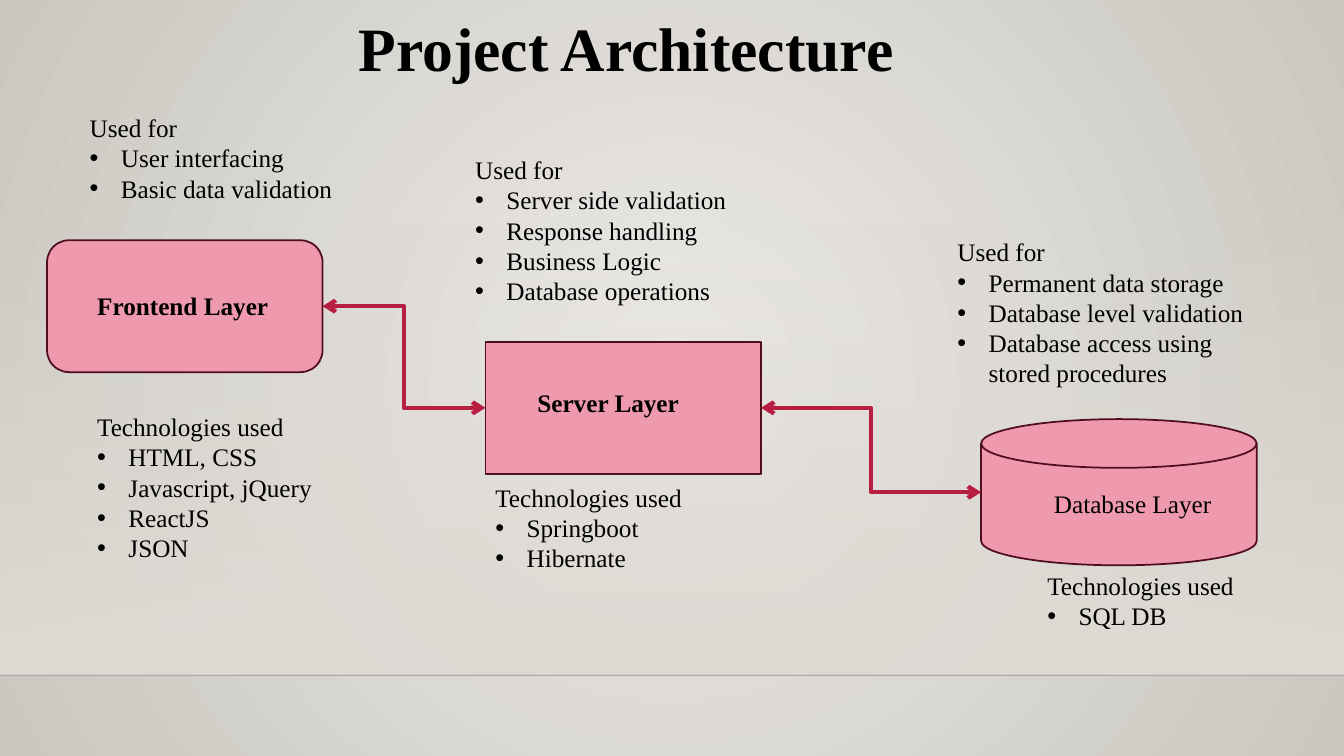
from lxml.etree import SubElement
from pptx import Presentation
from pptx.dml.color import RGBColor
from pptx.enum.shapes import MSO_CONNECTOR, MSO_SHAPE
from pptx.enum.text import MSO_ANCHOR, MSO_AUTO_SIZE
from pptx.oxml.ns import qn
from pptx.util import Inches, Pt

COLS, ROWS = 160, 90
CELL = Inches(7.5) / ROWS
INDENT = Inches(0.31)
LAYER_W, LAYER_H = 32.8, 15.7
COLORS = {
    "glow": "ECEAE7",
    "edge": "CAC7C1",
    "floor": "DFDBD5",
    "horizon": "000001",
    "layer": "EE99AD",
    "outline": "500D1D",
    "arrow": "B71E42",
    "text": "000000",
}


def grid(*cells):
    return [round(cell * CELL) for cell in cells]


def rgb(name):
    return RGBColor.from_string(COLORS[name])


def add_xml(parent, tag, **attributes):
    return SubElement(parent, qn(tag), attributes)


def set_alpha(element, percents):
    for color, percent in zip(element.iter(qn("a:srgbClr")), percents):
        add_xml(color, "a:alpha", val=str(percent * 1000))


def set_gradient(fill, names):
    fill.gradient()
    for stop, name, position in zip(fill.gradient_stops, names, (0, 1)):
        stop.color.rgb = rgb(name)
        stop.position = position


def paint_background(slide):
    fill = slide.background.fill
    set_gradient(fill, ("glow", "edge"))
    gradient = next(slide.element.iter(qn("a:gradFill")))
    gradient.remove(gradient.find(qn("a:lin")))
    circle = add_xml(gradient, "a:path", path="circle")
    add_xml(circle, "a:fillToRect", l="50000", t="50000", r="50000", b="50000")


def add_floor(slide):
    floor = slide.shapes.add_shape(MSO_SHAPE.RECTANGLE, *grid(0, 26.5, COLS, 53.9))
    floor.shadow.inherit = False
    floor.line.fill.background()
    set_gradient(floor.fill, ("floor", "floor"))
    floor.fill.gradient_angle = 270
    set_alpha(floor.element.spPr, (0, 100))
    horizon = add_line(slide, MSO_CONNECTOR.STRAIGHT, (0, 80.4, COLS, 80.4), "horizon", 1)
    set_alpha(horizon.element.spPr, (20,))


def add_line(slide, kind, ends, color, width):
    line = slide.shapes.add_connector(kind, *grid(*ends))
    line.line.color.rgb = rgb(color)
    line.line.width = Pt(width)
    add_xml(line.element.spPr, "a:effectLst")
    return line


def add_layer(slide, kind, left, top, height=LAYER_H):
    layer = slide.shapes.add_shape(kind, *grid(left, top, LAYER_W, height))
    layer.shadow.inherit = False
    layer.fill.solid()
    layer.fill.fore_color.rgb = rgb("layer")
    layer.line.color.rgb = rgb("outline")
    layer.line.width = Pt(1.25)
    return layer


def add_link(slide, ends):
    link = add_line(slide, MSO_CONNECTOR.ELBOW, ends, "arrow", 3)
    outline = link.element.spPr.find(qn("a:ln"))
    for tag in ("a:headEnd", "a:tailEnd"):
        add_xml(outline, tag, type="arrow")
    return link


def add_bullet(paragraph):
    properties = paragraph._p.get_or_add_pPr()
    for key, value in {"marL": INDENT, "indent": -INDENT}.items():
        properties.set(key, str(value))
    add_xml(properties, "a:buFont", typeface="Arial")
    add_xml(properties, "a:buChar", char="•")


def add_text(slide, box, heading, bullets=(), size=18, bold=False):
    frame = slide.shapes.add_textbox(*grid(*box)).text_frame
    frame.word_wrap = True
    frame.auto_size = MSO_AUTO_SIZE.SHAPE_TO_FIT_TEXT
    frame.text = "\n".join((heading, *bullets))
    font_format = {"name": "Times New Roman", "size": Pt(size), "bold": bold}
    for paragraph in frame.paragraphs:
        font = paragraph.runs[0].font
        for key, value in font_format.items():
            setattr(font, key, value)
        font.color.rgb = rgb("text")
    for paragraph in frame.paragraphs[1:]:
        add_bullet(paragraph)
    return frame


def add_title(slide):
    title = add_text(slide, (41.5, 1.6, 67.9, 10), "Project Architecture", size=44, bold=True)
    title.auto_size = MSO_AUTO_SIZE.NONE
    title.vertical_anchor = MSO_ANCHOR.TOP
    title.paragraphs[0].line_spacing = 0.9


def add_layers(slide):
    frontend = add_layer(slide, MSO_SHAPE.ROUNDED_RECTANGLE, 5.6, 28.6)
    server = add_layer(slide, MSO_SHAPE.ROUNDED_RECTANGLE, 57.8, 40.7)
    server.adjustments[0] = 0
    add_layer(slide, MSO_SHAPE.FLOWCHART_MAGNETIC_DISK, 116.8, 49.9, 17.4)
    frontend_link = add_link(slide, (38.4, 36.4, 57.8, 48.5))
    frontend_link.begin_connect(frontend, 3)
    frontend_link.end_connect(server, 1)
    database_link = add_link(slide, (90.6, 48.5, 116.8, 58.6))
    database_link.begin_connect(server, 3)
    add_text(slide, (10.4, 34, 26.2, 4.8), "Frontend Layer", bold=True)
    add_text(slide, (62.8, 45.5, 23, 4.8), "Server Layer", bold=True)
    add_text(slide, (124.3, 57.5, 23, 4.8), "Database Layer")


def add_notes(slide):
    purposes = [
        ((9.5, 12.8, 36.7, 15.7), ("User interfacing", "Basic data validation")),
        ((55.4, 17.8, 36.7, 19.4), ("Server side validation", "Response handling",
                                    "Business Logic", "Database operations")),
        ((112.8, 27.6, 36.7, 23), ("Permanent data storage", "Database level validation",
                                   "Database access using stored procedures")),
    ]
    technologies = [
        ((10.4, 48.4, 36.7, 23), ("HTML, CSS", "Javascript, jQuery", "ReactJS", "JSON")),
        ((57.8, 56.8, 35.3, 15.7), ("Springboot", "Hibernate")),
        ((123.5, 67.3, 28.9, 8.5), ("SQL DB",)),
    ]
    for heading, notes in (("Used for", purposes), ("Technologies used", technologies)):
        for box, bullets in notes:
            add_text(slide, box, heading, bullets)


def main():
    deck = Presentation()
    deck.slide_width, deck.slide_height = grid(COLS, ROWS)
    slide = deck.slides.add_slide(deck.slide_layouts[6])
    paint_background(slide)
    add_floor(slide)
    add_title(slide)
    add_layers(slide)
    add_notes(slide)
    deck.save("out.pptx")


if __name__ == "__main__":
    main()
